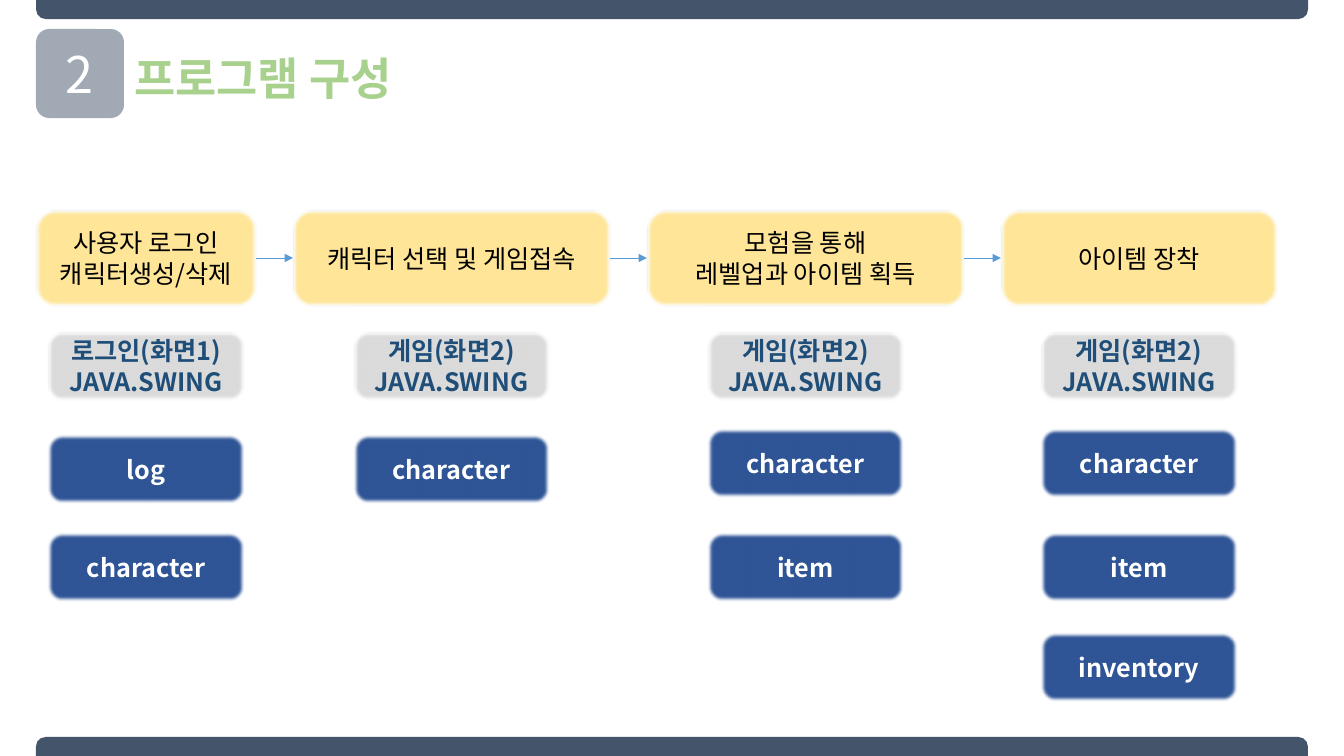
from lxml import etree
from pptx import Presentation
from pptx.dml.color import RGBColor
from pptx.enum.shapes import MSO_CONNECTOR, MSO_SHAPE
from pptx.enum.text import MSO_ANCHOR, MSO_AUTO_SIZE, PP_ALIGN
from pptx.oxml.ns import qn
from pptx.util import Pt

ROUNDED = MSO_SHAPE.ROUNDED_RECTANGLE
BAR = MSO_SHAPE.ROUND_2_SAME_RECTANGLE
STRAIGHT = MSO_CONNECTOR.STRAIGHT
MIDDLE = MSO_ANCHOR.MIDDLE
LEFT, CENTER = PP_ALIGN.LEFT, PP_ALIGN.CENTER
FIT_SHAPE = MSO_AUTO_SIZE.SHAPE_TO_FIT_TEXT
PIXEL = 914400 / 100.8
KOREAN_FONT = "Noto Sans CJK KR"
NUMBER_FONT = "Noto Sans CJK SC"


def write_text(shape, text, size=18, color="000000", bold=False, font=KOREAN_FONT, align=CENTER):
    frame = shape.text_frame
    frame.text = text
    frame.vertical_anchor = MIDDLE
    for paragraph in frame.paragraphs:
        paragraph.alignment = align
        for run in paragraph.runs:
            run.font.size = Pt(size)
            run.font.bold = bold
            run.font.name = font
            run.font.color.rgb = RGBColor.from_string(color)
            east_asian = etree.SubElement(run.font._element, qn("a:ea"))
            east_asian.set("typeface", font)


def add_box(kind, box, fill, soft=False):
    shape = slide.shapes.add_shape(kind, *[round(value * PIXEL) for value in box])
    shape.fill.solid()
    shape.fill.fore_color.rgb = RGBColor.from_string(fill)
    shape.shadow.inherit = False
    if soft:
        shape.line.color.rgb = RGBColor.from_string("43739E")
        shape.line.width = Pt(1)
        effects = shape.element.spPr.find(qn("a:effectLst"))
        etree.SubElement(effects, qn("a:softEdge")).set("rad", "31750")
    else:
        shape.line.fill.background()
    return shape


presentation = Presentation()
presentation.slide_width = round(1344 * PIXEL)
presentation.slide_height = round(756 * PIXEL)
slide = presentation.slides.add_slide(presentation.slide_layouts[5])

for top, rotation in [(0, 180), (737, 0)]:
    bar = add_box(BAR, (36, top, 1272, 19), "44546A")
    bar.adjustments[0] = 0.5
    bar.rotation = rotation

number = add_box(ROUNDED, (36, 29, 88, 89), "44546A")
number.adjustments[0] = 0.15
number_color = number.element.spPr.find(qn("a:solidFill")).find(qn("a:srgbClr"))
etree.SubElement(number_color, qn("a:alpha")).set("val", "50000")
write_text(number, "2", size=36, color="FFFFFF", font=NUMBER_FONT)

title = slide.shapes.title
title.left, title.top = round(124 * PIXEL), round(45 * PIXEL)
title.width, title.height = round(307 * PIXEL), round(65 * PIXEL)
write_text(title, "프로그램 구성", size=32, color="A9D18E", bold=True, align=LEFT)
title.text_frame.word_wrap = False
title.text_frame.auto_size = FIT_SHAPE

STEP_TOP, STEP_HEIGHT, STEP_GAP = 210, 96, 37
CARD_WIDTH, CARD_HEIGHT = 195, 68
SCREEN_TOP = 332
steps = [
    (220, "사용자 로그인\n캐릭터생성/삭제", "로그인(화면1)", [("log", 435), ("character", 533)]),
    (317, "캐릭터 선택 및 게임접속", "게임(화면2)", [("character", 435)]),
    (317, "모험을 통해\n레벨업과 아이템 획득", "게임(화면2)", [("character", 429), ("item", 533)]),
    (276, "아이템 장착", "게임(화면2)", [("character", 429), ("item", 533), ("inventory", 633)]),
]

step_left = 36
for index, (step_width, step_text, screen, tables) in enumerate(steps):
    step = add_box(ROUNDED, (step_left, STEP_TOP, step_width, STEP_HEIGHT), "FFE699", soft=True)
    write_text(step, step_text)

    card_left = step_left + (step_width - CARD_WIDTH) / 2
    card = add_box(ROUNDED, (card_left, SCREEN_TOP, CARD_WIDTH, CARD_HEIGHT), "DBDBDB", soft=True)
    write_text(card, screen + "\nJAVA.SWING", color="1F4E79", bold=True)
    for table_name, table_top in tables:
        card = add_box(ROUNDED, (card_left, table_top, CARD_WIDTH, CARD_HEIGHT), "2F5597", soft=True)
        write_text(card, table_name, color="FFFFFF", bold=True)

    if index > 0:
        middle = STEP_TOP + STEP_HEIGHT / 2
        ends = (step_left - STEP_GAP, middle, step_left, middle)
        arrow = slide.shapes.add_connector(STRAIGHT, *[round(value * PIXEL) for value in ends])
        arrow.line.color.rgb = RGBColor.from_string("5B9BD5")
        arrow.line.width = Pt(0.5)
        properties = arrow.element.spPr
        etree.SubElement(properties.find(qn("a:ln")), qn("a:tailEnd")).set("type", "triangle")
        etree.SubElement(properties, qn("a:effectLst"))
    step_left += step_width + STEP_GAP

presentation.save("out.pptx")
